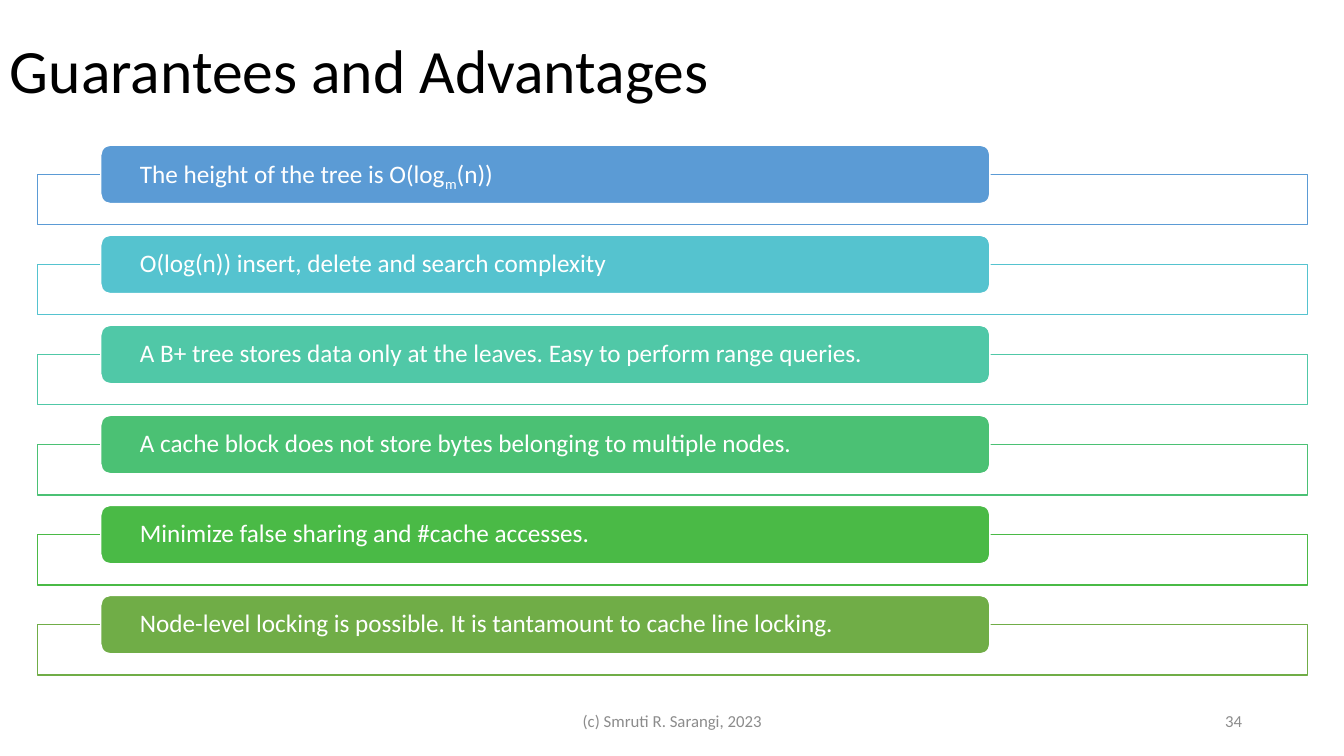
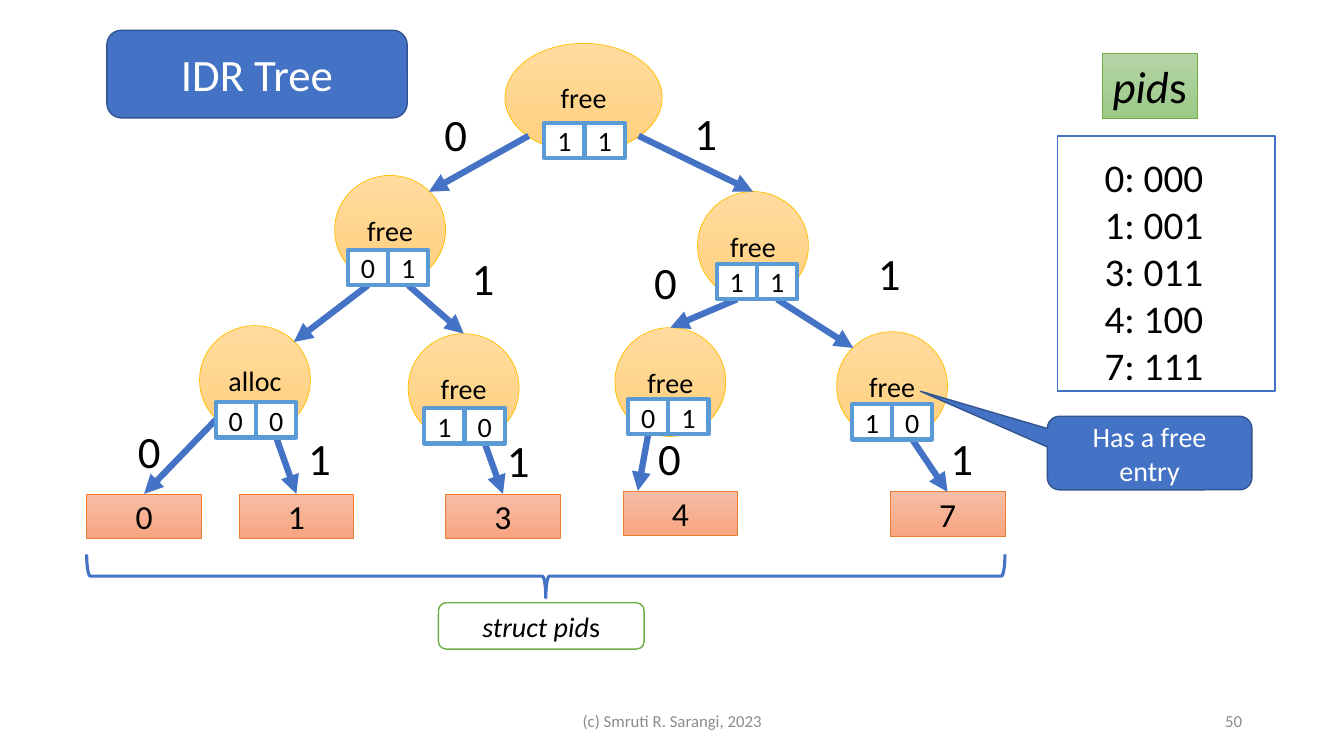
from dataclasses import dataclass

import pptx
import pptx.util
import pptx.dml.color
import pptx.enum.shapes
import pptx.enum.text
import pptx.oxml.ns
from lxml import etree

SHAPE = pptx.enum.shapes.MSO_SHAPE
ALIGN = pptx.enum.text.PP_ALIGN
ANCHOR = pptx.enum.text.MSO_ANCHOR
Pt = pptx.util.Pt
CELL = 0.1  # inches; every length below is in grid cells


@dataclass(frozen=True)
class Theme:
    font: str = "Calibri"
    ink: str = "000000"
    paper: str = "FFFFFF"
    muted: str = "8C8C8C"
    blue: str = "4472C4"
    navy: str = "325491"
    sky: str = "5B9BD5"
    green: str = "70AD47"
    gold: str = "FFC000"
    orange: str = "ED7D31"
    gold_fade: tuple = ("FFDB9E", "FFD07C")
    orange_fade: tuple = ("F7BDA5", "F8A582")
    green_fade: tuple = ("B5D5A7", "9CC987")
    bars: tuple = ("5B9BD5", "55C3CF", "50C8A7", "4BC174", "4ABA46", "70AD47")
    title: int = 44
    label: int = 32
    listing: int = 28
    leaf: int = 24
    node: int = 20
    bar: int = 18
    footer: int = 12


T = Theme()


@dataclass(frozen=True)
class Box:
    x: float
    y: float
    w: float
    h: float

    def sub(self, x, y, w, h):
        return Box(self.x + x, self.y + y, w, h)

    def point(self, fx, fy):
        """Point at the given shares of the width and height."""
        return self.x + fx * self.w, self.y + fy * self.h

    def emu(self):
        return [cells(v) for v in (self.x, self.y, self.w, self.h)]


SLIDE = Box(0, 0, 133.33, 75)


def cells(n):
    return pptx.util.Inches(n * CELL)


def rgb(code):
    return pptx.dml.color.RGBColor.from_string(code)


def write(sp, paras, size, color=T.ink, align=ALIGN.LEFT, anchor=ANCHOR.MIDDLE,
          wrap=True, spacing=None, inset=None):
    """Each paragraph is a list of runs: text, or (text, "i" or "sub")."""
    tf = sp.text_frame
    tf.word_wrap = wrap
    tf.vertical_anchor = anchor
    if inset is not None:
        tf.margin_left = tf.margin_right = cells(inset)
        tf.margin_top = tf.margin_bottom = 0
    for i, runs in enumerate(paras):
        p = tf.paragraphs[0] if i == 0 else tf.add_paragraph()
        p.alignment = align
        if spacing:
            p.line_spacing = spacing
        for run in runs:
            text, kind = (run, "") if isinstance(run, str) else run
            r = p.add_run()
            r.text = text
            r.font.name, r.font.size = T.font, Pt(size)
            r.font.color.rgb = rgb(color)
            if kind == "i":
                r.font.italic = True
            elif kind == "sub":
                r._r.get_or_add_rPr().set("baseline", "-25000")


def add_text(s, box, paras, size, **fmt):
    sp = s.shapes.add_textbox(*box.emu())
    write(sp, paras, size, **fmt)
    return sp


def add_shape(s, kind, box, fill=None, line=T.blue, weight=1):
    """A fill is one colour, a (top, bottom) pair, or None."""
    sp = s.shapes.add_shape(kind, *box.emu())
    sp.shadow.inherit = False
    if fill is None:
        sp.fill.background()
    elif isinstance(fill, tuple):
        sp.fill.gradient()
        sp.fill.gradient_angle = 270
        for stop, color in zip(sp.fill.gradient_stops, fill):
            stop.color.rgb = rgb(color)
    else:
        sp.fill.solid()
        sp.fill.fore_color.rgb = rgb(fill)
    sp.line.color.rgb = rgb(line)
    sp.line.width = Pt(weight)
    return sp


def add_arrow(s, start, end):
    cx = s.shapes.add_connector(pptx.enum.shapes.MSO_CONNECTOR.STRAIGHT,
                                *map(cells, (*start, *end)))
    cx.line.color.rgb = rgb(T.blue)
    cx.line.width = Pt(4.5)
    qn = pptx.oxml.ns.qn
    etree.SubElement(cx.line._get_or_add_ln(), qn("a:tailEnd"), type="triangle")
    etree.SubElement(cx._element.spPr, qn("a:effectLst"))


def add_slide(prs, number):
    s = prs.slides.add_slide(prs.slide_layouts[6])
    for x, w, text, align in ((44.2, 45, "(c) Smruti R. Sarangi, 2023", ALIGN.CENTER),
                              (94.2, 30, str(number), ALIGN.RIGHT)):
        add_text(s, SLIDE.sub(x, 69.5, w, 4), [[text]], T.footer,
                 color=T.muted, align=align)
    return s


def add_bar_list(s, box, items):
    """Filled bars, each overlapping the top edge of an outlined frame."""
    pitch = box.h / len(items)
    for i, (runs, color) in enumerate(zip(items, T.bars)):
        row = box.sub(0, i * pitch, box.w, pitch)
        add_shape(s, SHAPE.RECTANGLE, row.sub(0, 2.9, row.w, 5), T.paper, color)
        bar = add_shape(s, SHAPE.ROUNDED_RECTANGLE,
                        row.sub(6.3, 0, 0.7 * row.w, 5.8), color, T.paper)
        write(bar, [runs], T.bar, color=T.paper, spacing=0.9, inset=3.6)


# name: centre, top, width, label, bits, shift and drop of the bit pair
NODES = {
    "root": (49.3, 0, 15.6, "free", "11", 0.1, 7.9),
    "L": (30.1, 13.1, 11, "free", "01", -0.2, 7.4),
    "R": (66.1, 14.7, 11, "free", "11", 0.4, 7.2),
    "LL": (16.7, 28, 11, "alloc", "00", 0.1, 7.6),
    "LR": (37.4, 28.8, 11, "free", "10", 0.1, 7.4),
    "RL": (57.9, 28.2, 11, "free", "01", -0.2, 7.1),
    "RR": (79.9, 28.6, 11, "free", "10", 0, 7.2),
}
LEAVES = {"0": (0, 44.7), "1": (15.1, 44.7), "3": (35.6, 44.7),
          "4": (53.2, 44.4), "7": (79.7, 44.5)}
TOP, TOP_LEFT, TOP_RIGHT = (0.5, 0), (0.15, 0.15), (0.85, 0.15)
LOW_LEFT, LOW_RIGHT = (0.15, 0.85), (0.85, 0.85)
BIT_0, BIT_1, BIT_SIDE = (0.25, 1), (0.75, 1), (0, 0.5)
NODE_EDGES = [("root", LOW_LEFT, "L", TOP_RIGHT), ("root", LOW_RIGHT, "R", TOP)]
BIT_EDGES = [
    ("L", BIT_0, "LL", TOP_RIGHT), ("L", BIT_1, "LR", TOP),
    ("R", BIT_0, "RL", TOP), ("R", BIT_1, "RR", TOP_LEFT),
    ("LL", BIT_SIDE, "0", TOP), ("LL", BIT_1, "1", TOP),
    ("LR", BIT_1, "3", TOP), ("RL", BIT_0, "4", (0.13, 0)),
    ("RR", BIT_1, "7", TOP),
]
EDGE_LABELS = [
    ("0", 34.5, 5.8), ("1", 59.3, 5.7), ("1", 37.2, 20.1), ("0", 55.3, 20.5),
    ("1", 77.5, 19.6), ("0", 4.1, 37.2), ("1", 21, 37.9), ("1", 40.7, 38.1),
    ("0", 55.7, 37.9), ("1", 84.7, 37.9),
]


def add_tree(s, box):
    ends, pairs = {}, {}
    for name, (cx, top, w, label, bits, shift, drop) in NODES.items():
        ends[name] = box.sub(cx - w / 2, top, w, 10.8)
        pairs[name] = box.sub(cx + shift - 4, top + drop, 8, 3.5)
        sp = add_shape(s, SHAPE.OVAL, ends[name], T.gold_fade, T.gold, 0.5)
        write(sp, [[label]], T.node, align=ALIGN.CENTER)
    for key, (x, y) in LEAVES.items():
        ends[key] = box.sub(x, y, 11.4, 4.4)
        sp = add_shape(s, SHAPE.RECTANGLE, ends[key], T.orange_fade, T.orange, 0.5)
        write(sp, [[key]], T.leaf, align=ALIGN.CENTER)

    for starts, edges in ((ends, NODE_EDGES), (pairs, BIT_EDGES)):
        for parent, out, child, into in edges:
            add_arrow(s, starts[parent].point(*out), ends[child].point(*into))
    for text, x, y in EDGE_LABELS:
        add_text(s, box.sub(x, y, 4.3, 6.4), [[text]], T.label,
                 anchor=ANCHOR.TOP, wrap=False)
    for name, pair in pairs.items():
        for i, bit in enumerate(NODES[name][4]):
            sp = add_shape(s, SHAPE.RECTANGLE, pair.sub(4 * i, 0, 4, pair.h),
                           T.paper, T.sky, 3)
            write(sp, [[bit]], T.node, align=ALIGN.CENTER)


def add_brace(s, box, caption):
    """A brace over the box's width, pointing down at its caption."""
    depth = 4.3
    upright = box.sub((box.w - depth) / 2, (depth - box.w) / 2, depth, box.w)
    add_shape(s, SHAPE.LEFT_BRACE, upright, weight=2.25).rotation = 270
    sp = add_shape(s, SHAPE.ROUNDED_RECTANGLE,
                   box.sub(34.9, box.h - 4.6, 20.4, 4.6), T.paper, T.green)
    write(sp, [caption], T.node, align=ALIGN.CENTER)


def add_pid_panel(s, box, heading, pids):
    sp = add_shape(s, SHAPE.RECTANGLE, box.sub(4.5, 0, 9.4, 6.4),
                   T.green_fade, T.green, 0.5)
    write(sp, [heading], T.label, anchor=ANCHOR.TOP, wrap=False)
    add_shape(s, SHAPE.RECTANGLE, box.sub(0, 8.2, box.w, box.h - 8.2), T.paper)
    add_text(s, box.sub(3.7, 9.4, 12, 24.6), [[f"{n}: {n:03b}"] for n in pids],
             T.listing, anchor=ANCHOR.TOP, wrap=False)


def add_blue_box(s, kind, box, text, size):
    sp = add_shape(s, kind, box, T.blue, T.navy)
    write(sp, [[text]], size, color=T.paper, align=ALIGN.CENTER)
    return sp


def build_guarantees(prs):
    s = add_slide(prs, 34)
    add_text(s, SLIDE.sub(0, 0, 115, 14.5), [["Guarantees and Advantages"]],
             T.title, spacing=0.9)
    add_bar_list(s, SLIDE.sub(3.7, 14.4, 126, 53.6), [
        ["The height of the tree is O(log", ("m", "sub"), "(n))"],
        ["O(log(n)) insert, delete and search complexity"],
        ["A B+ tree stores data only at the leaves. Easy to perform range queries."],
        ["A cache block does not store bytes belonging to multiple nodes."],
        ["Minimize false sharing and #cache accesses."],
        ["Node-level locking is possible. It is tantamount to cache line locking."],
    ])


def build_idr_tree(prs):
    s = add_slide(prs, 50)
    add_blue_box(s, SHAPE.ROUNDED_RECTANGLE, SLIDE.sub(10.6, 3, 29.8, 8.7),
                 "IDR Tree", T.label)
    add_tree(s, SLIDE.sub(8.6, 4.3, 91.1, 49.1))
    add_brace(s, SLIDE.sub(8.6, 55, 91.1, 9.4), [("struct pid", "i"), "s"])
    add_pid_panel(s, SLIDE.sub(104.9, 5.3, 21.6, 33.5), [("pid", "i"), "s"],
                  [int(key) for key in LEAVES])
    callout = add_blue_box(s, SHAPE.ROUNDED_RECTANGULAR_CALLOUT,
                           SLIDE.sub(103.9, 41.3, 20.3, 7.3),
                           "Has a free entry", T.node)
    callout.adjustments[0], callout.adjustments[1] = -1.12, -0.84


def main():
    prs = pptx.Presentation()
    prs.slide_width, prs.slide_height = cells(SLIDE.w), cells(SLIDE.h)
    build_guarantees(prs)
    build_idr_tree(prs)
    prs.save("out.pptx")


if __name__ == "__main__":
    main()
